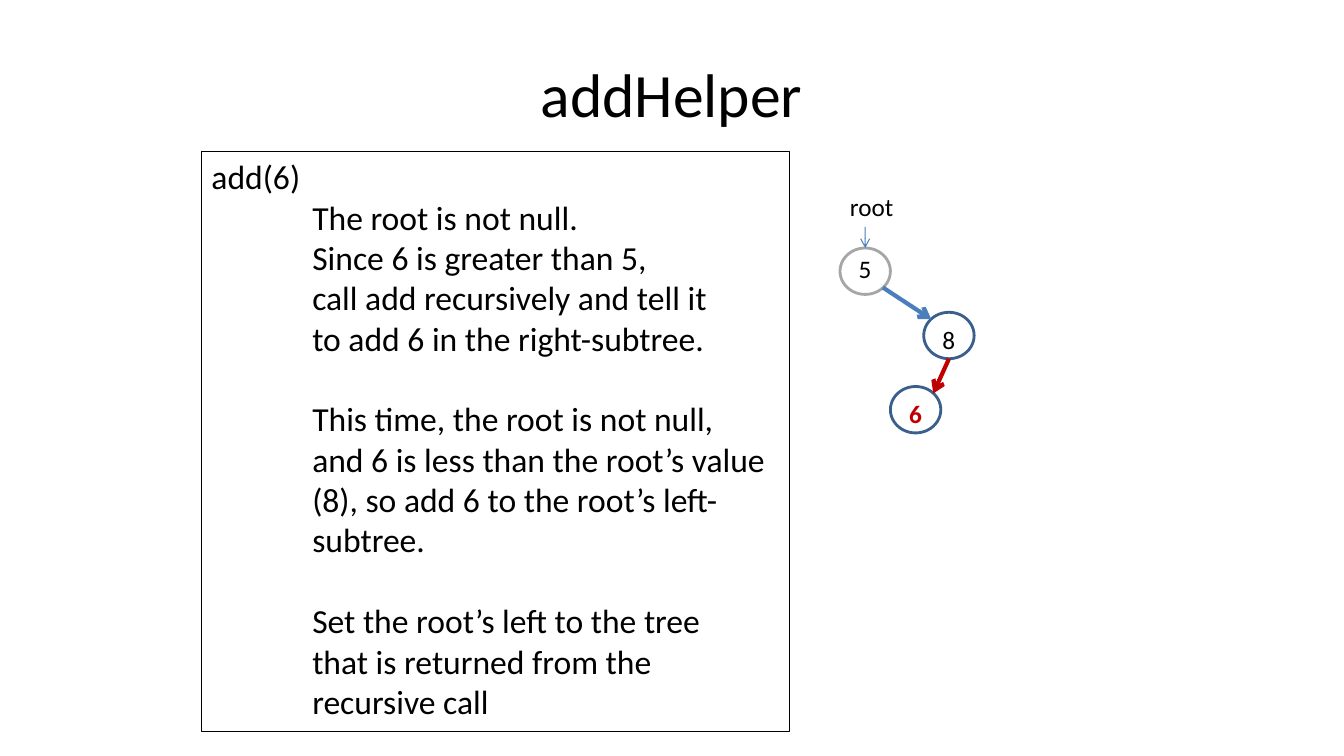
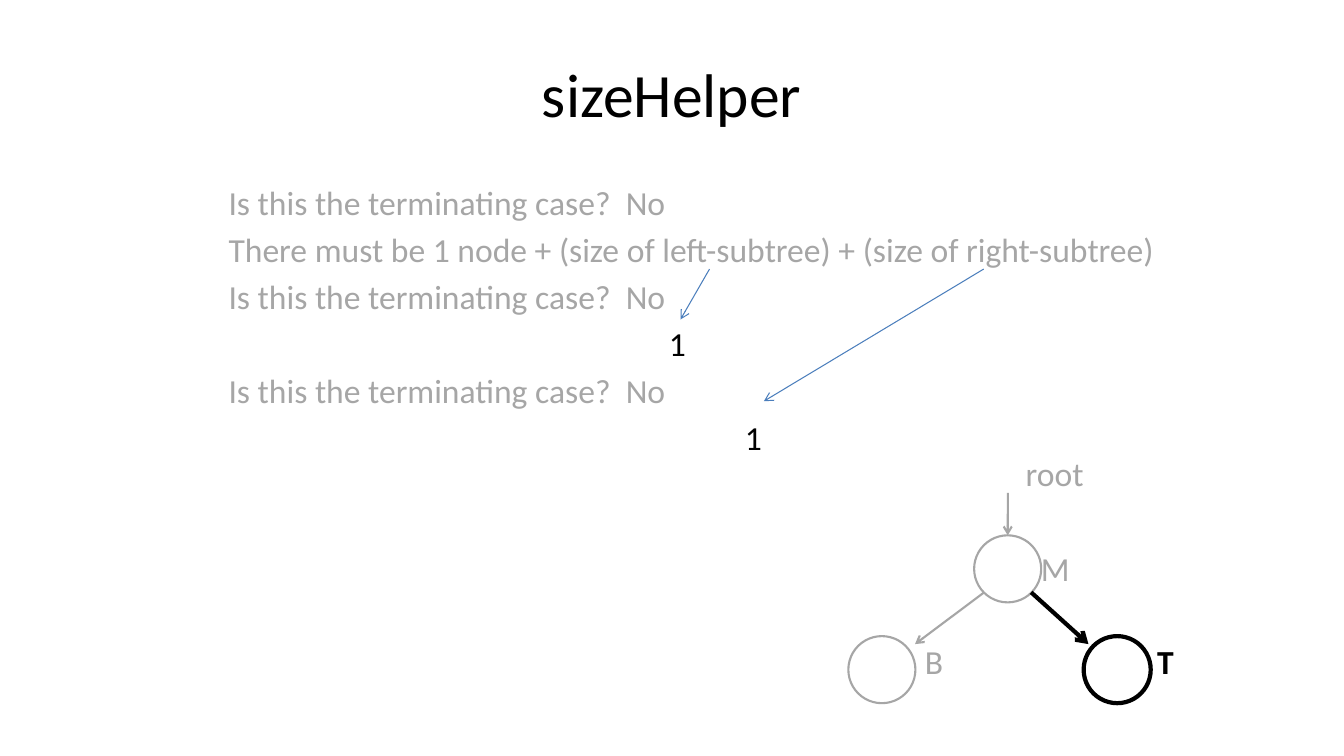
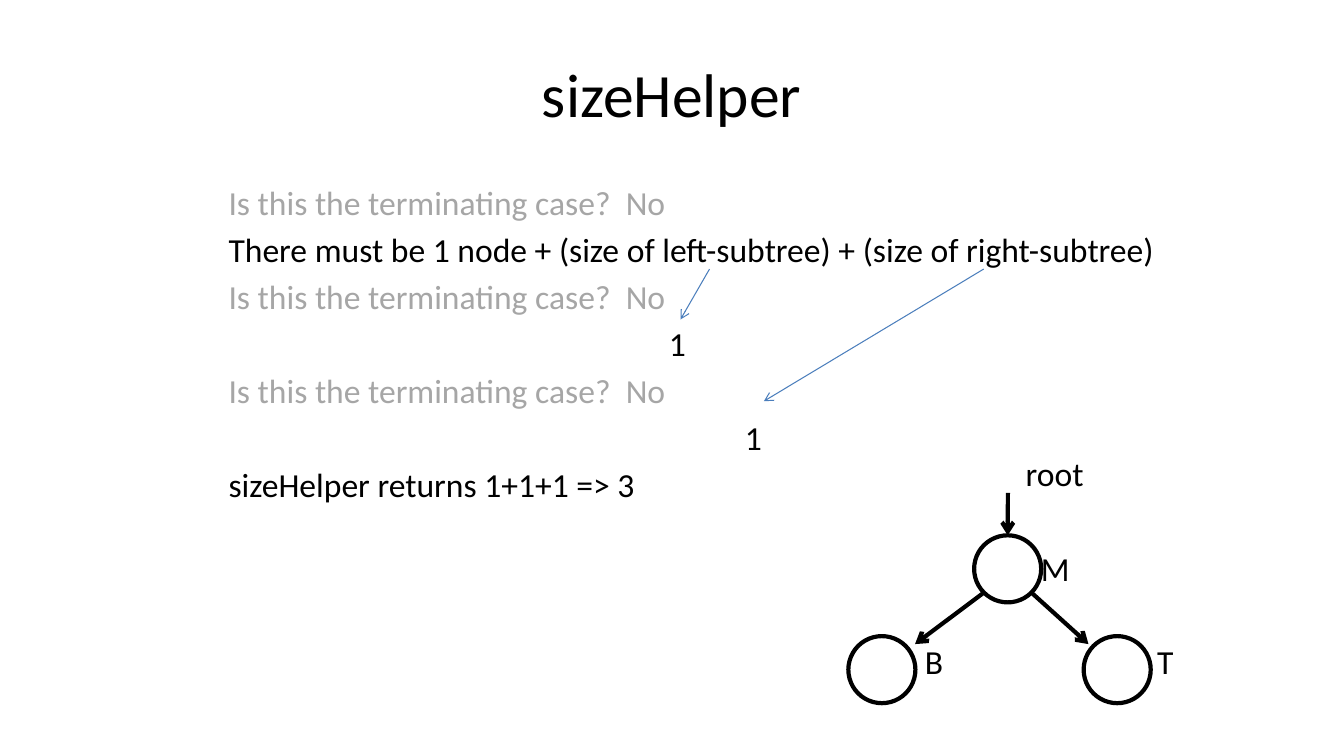
from lxml import etree
from pptx import Presentation
from pptx.dml.color import RGBColor
from pptx.enum.shapes import MSO_CONNECTOR, MSO_SHAPE
from pptx.enum.text import MSO_ANCHOR, PP_ALIGN
from pptx.oxml.ns import qn
from pptx.util import Cm, Pt

STRAIGHT = MSO_CONNECTOR.STRAIGHT
ELLIPSE = MSO_SHAPE.OVAL
RECTANGLE = MSO_SHAPE.RECTANGLE
TOP, MIDDLE = MSO_ANCHOR.TOP, MSO_ANCHOR.MIDDLE
LEFT, CENTER = PP_ALIGN.LEFT, PP_ALIGN.CENTER

FONT = "Calibri"
BLACK, GRAY, RED = "000000", "A6A6A6", "C00000"
BLUE, NAVY = "4B7EBC", "3A5F8C"

ADD_STEPS = [
    ["The root is not null.",
     "Since 6 is greater than 5,",
     "call add recursively and tell it",
     "to add 6 in the right-subtree."],
    ["This time, the root is not null,",
     "and 6 is less than the root’s value",
     "(8), so add 6 to the root’s left-",
     "subtree."],
    ["Set the root’s left to the tree",
     "that is returned from the",
     "recursive call"],
]
QUESTION = "Is this the terminating case?  No"
SUM = "There must be 1 node + (size of left-subtree) + (size of right-subtree)"


def rgb(value):
    return RGBColor.from_string(value)


def rim(node, dx, dy):
    """Point on an ellipse's outline in direction dx, dy (each -1, 0 or 1), in cm."""
    reach = 0.35 if dx and dy else 0.5
    return (node.left.cm + node.width.cm * (0.5 + dx * reach),
            node.top.cm + node.height.cm * (0.5 + dy * reach))


class Deck:
    def __init__(self):
        self.prs = Presentation()
        self.prs.slide_width, self.prs.slide_height = Cm(33.87), Cm(19.05)
        self.slide = None

    def new_slide(self, title):
        self.slide = self.prs.slides.add_slide(self.prs.slide_layouts[6])
        sp = self.slide.shapes.add_textbox(Cm(1.69), Cm(0.76), Cm(30.48), Cm(3.18))
        self.set_lines(sp, [(title, BLACK, 0, 0)], size=44, align=CENTER, anchor=MIDDLE)

    def set_lines(self, sp, lines, size=24, bold=False, align=LEFT, anchor=TOP):
        """Fill a shape with lines of (text, colour, indent in cm, space before in pt)."""
        tf = sp.text_frame
        tf.word_wrap = True
        tf.vertical_anchor = anchor
        tf.text = "\n".join(line[0] for line in lines)
        for p, (_, color, indent, before) in zip(tf.paragraphs, lines):
            p.alignment = align
            p._p.get_or_add_pPr().set("marL", str(Cm(indent)))
            p.space_before = Pt(before)
            for r in p.runs:
                r.font.name, r.font.size, r.font.bold = FONT, Pt(size), bold
                r.font.color.rgb = rgb(color)

    def text(self, x, y, w, h, lines):
        self.set_lines(self.slide.shapes.add_textbox(Cm(x), Cm(y), Cm(w), Cm(h)), lines)

    def label(self, x, y, text, color=BLACK, size=24, bold=False):
        sp = self.slide.shapes.add_textbox(Cm(x), Cm(y), Cm(2.5), Cm(1.02))
        self.set_lines(sp, [(text, color, 0, 0)], size, bold)

    def outline(self, kind, x, y, w, h, color, weight):
        sp = self.slide.shapes.add_shape(kind, Cm(x), Cm(y), Cm(w), Cm(h))
        sp.shadow.inherit = False
        sp.fill.background()
        sp.line.color.rgb = rgb(color)
        sp.line.width = Pt(weight)
        return sp

    def arrow(self, start, end, color=BLUE, weight=0.75):
        x1, y1, x2, y2 = (Cm(v) for v in (*start, *end))
        line = self.slide.shapes.add_connector(STRAIGHT, x1, y1, x2, y2)
        line.line.color.rgb = rgb(color)
        line.line.width = Pt(weight)
        etree.SubElement(line.line._get_or_add_ln(), qn("a:tailEnd"), type="arrow")
        etree.SubElement(line._element.spPr, qn("a:effectLst"))


def add_slide(deck):
    deck.new_slide("addHelper")
    lines = [("add(6)", BLACK, 0, 0)]
    for n, step in enumerate(ADD_STEPS):
        for i, line in enumerate(step):
            lines.append((line, BLACK, 2.54, 29 if n and i == 0 else 0))
    box = deck.outline(RECTANGLE, 5.08, 3.81, 14.81, 14.63, BLACK, 0.75)
    deck.set_lines(box, lines)

    five, eight, six = (
        deck.outline(ELLIPSE, x, y, 1.27, 1.17, color, 2)
        for x, y, color in ((21.17, 6.25, GRAY), (23.28, 7.87, NAVY), (22.44, 9.74, NAVY)))
    deck.arrow((21.8, 5.72), rim(five, 0, -1))
    deck.arrow(rim(five, 1, 1), rim(eight, -1, -1), weight=3)
    deck.arrow(rim(eight, 0, 1), rim(six, 1, -1), RED, 3)
    deck.label(21.17, 4.7, "root", size=18)
    deck.label(21.39, 6.25, "5", size=18)
    deck.label(23.5, 8.05, "8", size=18)
    deck.label(22.66, 9.91, "6", RED, 18, bold=True)


def size_slide(deck, sum_color, tree_style, right_style, right_bold, result=None):
    """Draw the count and its tree; a style is (colour, line weight)."""
    deck.new_slide("sizeHelper")
    rows = [(QUESTION, GRAY, 0), (SUM, sum_color, 0), (QUESTION, GRAY, 0),
            ("1", BLACK, 11.1), (QUESTION, GRAY, 0), ("1", BLACK, 13.01)]
    if result:
        rows.append((result, BLACK, 0))
    deck.text(5.51, 4.45, 24.13, 12.57,
              [(*row, 4.8 if i else 0) for i, row in enumerate(rows)])

    root, _, _ = (
        deck.outline(ELLIPSE, x, y, 1.69, 1.69, *style)
        for x, y, style in ((24.55, 13.49, tree_style), (21.38, 16.03, tree_style),
                            (27.31, 16.03, right_style)))
    deck.arrow((25.4, 12.42), rim(root, 0, -1), *tree_style)
    deck.arrow(rim(root, -1, 1), (23.06, 16.23), *tree_style)
    deck.arrow(rim(root, 1, 1), (27.43, 16.23), *right_style)
    for x, y, name in ((25.6, 11.3, "root"), (25.98, 13.67, "M"), (23.06, 16.03, "B")):
        deck.label(x, y, name, tree_style[0])
    deck.label(28.91, 16.03, "T", right_style[0], bold=right_bold)

    deck.arrow((17.88, 6.78), (17.15, 8.05))
    deck.arrow((24.79, 6.78), (19.25, 10.11))


def main():
    deck = Deck()
    add_slide(deck)
    size_slide(deck, GRAY, (GRAY, 1.5), (BLACK, 3), True)
    size_slide(deck, BLACK, (BLACK, 3), (BLACK, 3), False,
               "sizeHelper returns 1+1+1 => 3")
    deck.prs.save("out.pptx")


if __name__ == "__main__":
    main()
